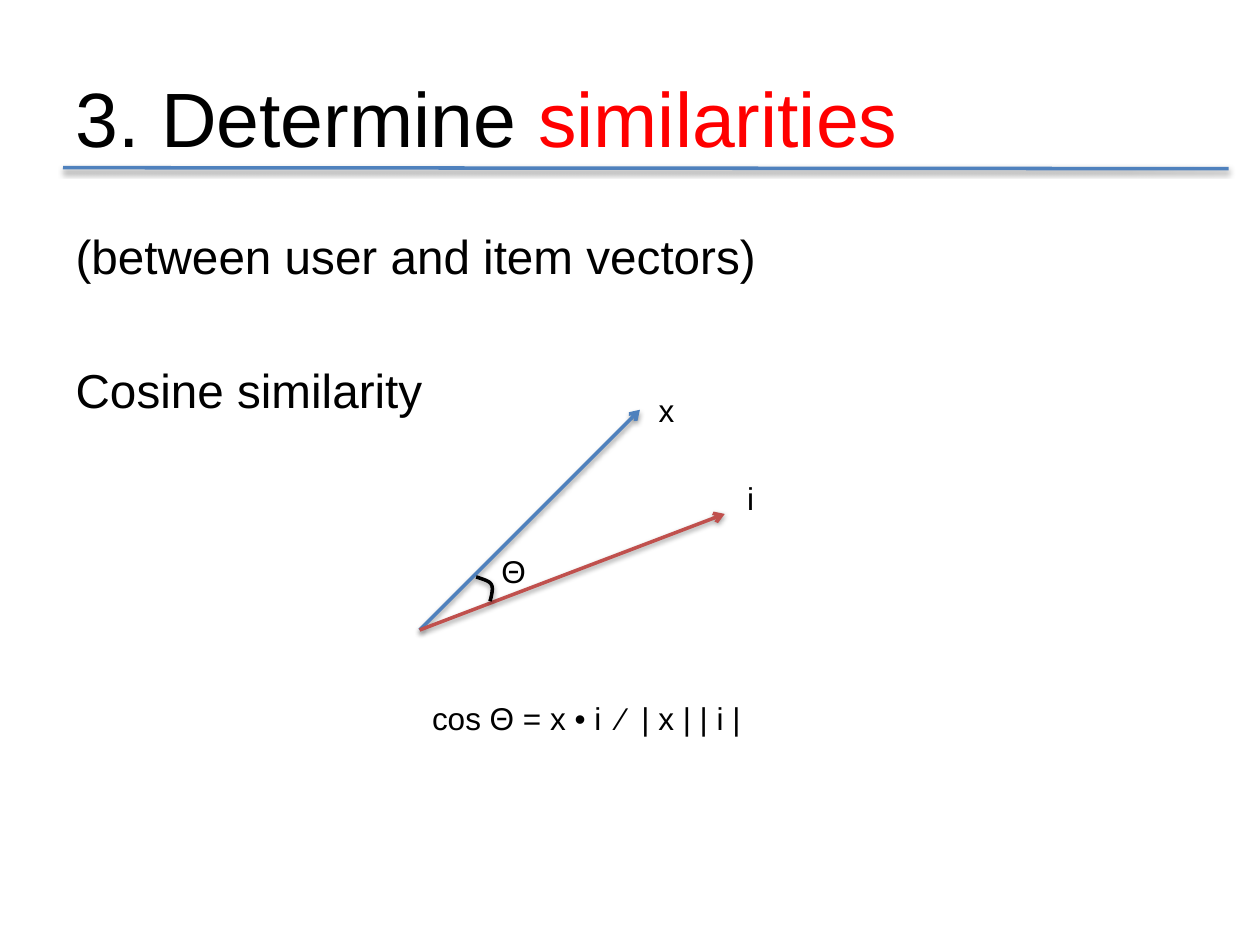
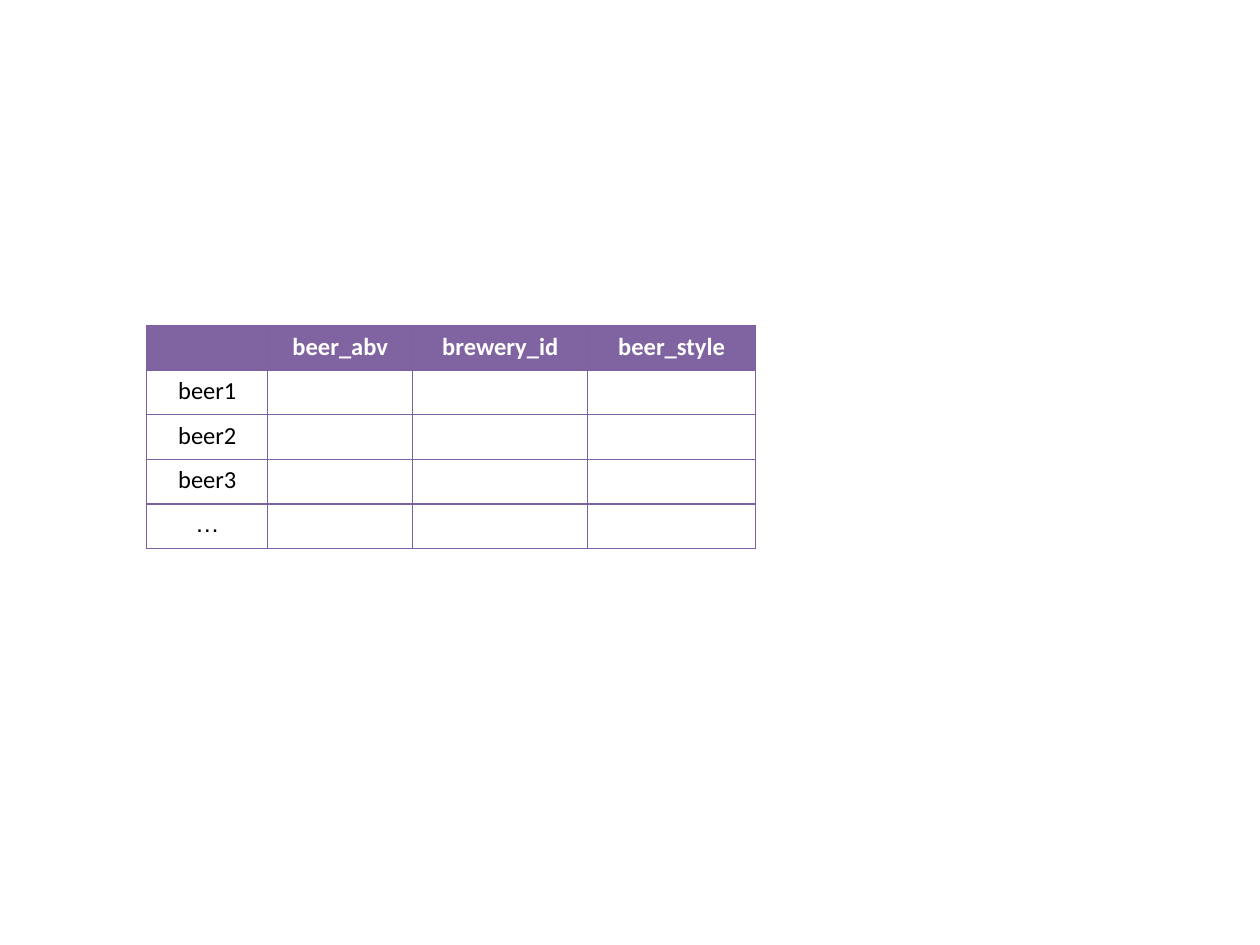
from lxml import etree
from pptx import Presentation
from pptx import util as u
from pptx.dml.color import RGBColor
from pptx.enum import shapes, text
from pptx.oxml import ns

BLACK, WHITE, RED = "000000", "FFFFFF", "FF0000"
BLUE, BRICK, PURPLE, GRID = "4F81BD", "C0504D", "8064A2", "7D60A0"


def colour(value):
    return RGBColor.from_string(value)


def child(parent, tag, **attributes):
    return etree.SubElement(parent, ns.qn(tag), attributes)


def bezier(p0, p1, p2, p3, steps=8):
    for t in (n / steps for n in range(1, steps + 1)):
        s = 1 - t
        yield tuple(s**3 * a + 3 * s * s * t * b + 3 * s * t * t * c + t**3 * d
                    for a, b, c, d in zip(p0, p1, p2, p3))


class Deck:
    font = "Arial"
    line_width = u.Pt(2)

    def __init__(self):
        self.prs = Presentation()
        self.prs.slide_width, self.prs.slide_height = u.Cm(25.4), u.Cm(19.05)

    def new_slide(self, layout):
        self.slide = self.prs.slides.add_slide(self.prs.slide_layouts[layout])

    def run(self, paragraph, words, size, ink=BLACK, font=None, bold=False):
        run = paragraph.add_run()
        run.text = words
        run.font.name, run.font.size, run.font.bold = font or self.font, u.Pt(size), bold
        run.font.color.rgb = colour(ink)

    def place(self, shape, left, top, width, height):
        shape.left, shape.top = u.Cm(left), u.Cm(top)
        shape.width, shape.height = u.Cm(width), u.Cm(height)

    def title(self, *parts):
        heading = self.slide.shapes.title
        self.place(heading, 1.27, 0.76, 22.86, 3.18)
        heading.text_frame.vertical_anchor = text.MSO_ANCHOR.MIDDLE
        paragraph = heading.text_frame.paragraphs[0]
        paragraph.alignment = text.PP_ALIGN.LEFT
        for words, ink in parts:
            self.run(paragraph, words, 44, ink)
        self.line((1.27, 3.38), (24.77, 3.4), BLUE)

    def body(self, *items):
        body = self.slide.placeholders[1]
        self.place(body, 1.27, 4.45, 22.86, 12.57)
        frame = body.text_frame
        for number, (words, gap) in enumerate(items):
            paragraph = frame.add_paragraph() if number else frame.paragraphs[0]
            paragraph.space_before = u.Pt(gap)
            self.run(paragraph, words, 27.2)
            properties = paragraph._p.get_or_add_pPr()
            properties.set("marL", "0")
            properties.set("indent", "0")
            child(properties, "a:buNone")

    def label(self, words, left, top, width, wrap=True):
        box = self.slide.shapes.add_textbox(u.Cm(left), u.Cm(top), u.Cm(width), u.Cm(1.02))
        box.text_frame.word_wrap = wrap
        self.run(box.text_frame.paragraphs[0], words, 18)

    def stroke(self, shape, ink):
        shape.line.color.rgb, shape.line.width = colour(ink), self.line_width
        effects = child(shape._element.spPr, "a:effectLst")
        shadow = child(effects, "a:outerShdw", blurRad=str(u.Pt(3.1)), dist=str(u.Pt(1.6)),
                       dir="5400000", rotWithShape="0")
        child(child(shadow, "a:srgbClr", val=BLACK), "a:alpha", val="38000")

    def line(self, start, end, ink, arrow=False):
        line = self.slide.shapes.add_connector(
            shapes.MSO_CONNECTOR.STRAIGHT, *(u.Cm(v) for v in (*start, *end)))
        self.stroke(line, ink)
        if arrow:
            child(line.line._get_or_add_ln(), "a:tailEnd", type="arrow")

    def curve(self, start, *segments):
        points, last = [], start
        for segment in segments:
            points += bezier(last, *segment)
            last = segment[-1]
        builder = self.slide.shapes.build_freeform(u.Cm(start[0]), u.Cm(start[1]))
        builder.add_line_segments([(u.Cm(x), u.Cm(y)) for x, y in points], close=False)
        curve = builder.convert_to_shape()
        curve.fill.background()
        self.stroke(curve, BLACK)

    def cell(self, cell, words, header):
        paragraph = cell.text_frame.paragraphs[0]
        paragraph.alignment = text.PP_ALIGN.CENTER
        if words:
            self.run(paragraph, words, 14, WHITE if header else BLACK,
                     "Arial" if words == "…" else "Calibri", header)
        else:
            child(paragraph._p, "a:endParaRPr", sz="1400")
        properties = cell._tc.get_or_add_tcPr()
        for side in "LRTB":
            border = child(properties, f"a:ln{side}", w=str(u.Pt(0.75)))
            child(child(border, "a:solidFill"), "a:srgbClr", val=GRID)
        if header:
            cell.fill.solid()
            cell.fill.fore_color.rgb = colour(PURPLE)
        else:
            cell.fill.background()

    def table(self, left, top, widths, row_height, rows):
        table = self.slide.shapes.add_table(
            len(rows), len(widths), u.Cm(left), u.Cm(top),
            u.Cm(sum(widths)), u.Cm(row_height * len(rows))).table
        table.horz_banding = False
        for column, width in zip(table.columns, widths):
            column.width = u.Cm(width)
        for r, row in enumerate(rows):
            table.rows[r].height = u.Cm(row_height)
            for c, words in enumerate(row):
                self.cell(table.cell(r, c), words, header=r == 0)


def similarities(deck):
    deck.new_slide(1)
    deck.title(("3. Determine ", BLACK), ("similarities", RED))
    deck.body(("(between user and item vectors)", 3), ("Cosine similarity", 44))
    deck.label("cos Θ = x • i  ⁄  | x | | i |", 8.46, 13.97, 8.05)
    origin = 8.46, 12.7
    deck.line(origin, (12.9, 8.26), BLUE, arrow=True)
    deck.line(origin, (14.61, 10.36), BRICK, arrow=True)
    deck.curve((9.6, 11.63),
               ((9.73, 11.68), (9.88, 11.71), (9.91, 11.79)),
               ((9.96, 11.86), (9.88, 12.12), (9.88, 12.12)))
    deck.label("Θ", 9.86, 11, 1.3)
    deck.label("x", 13.03, 7.75, 0.84, wrap=False)
    deck.label("i", 14.81, 9.53, 0.66, wrap=False)


def beer_features(deck):
    deck.new_slide(6)
    features = ["beer_abv", "brewery_id", "beer_style"]
    beers = ["beer1", "beer2", "beer3", "…"]
    rows = [["", *features]] + [[beer] + [""] * len(features) for beer in beers]
    deck.table(2.96, 6.56, [2.44, 2.92, 3.53, 3.38], 0.9, rows)


def main():
    deck = Deck()
    similarities(deck)
    beer_features(deck)
    deck.prs.save("out.pptx")


if __name__ == "__main__":
    main()
